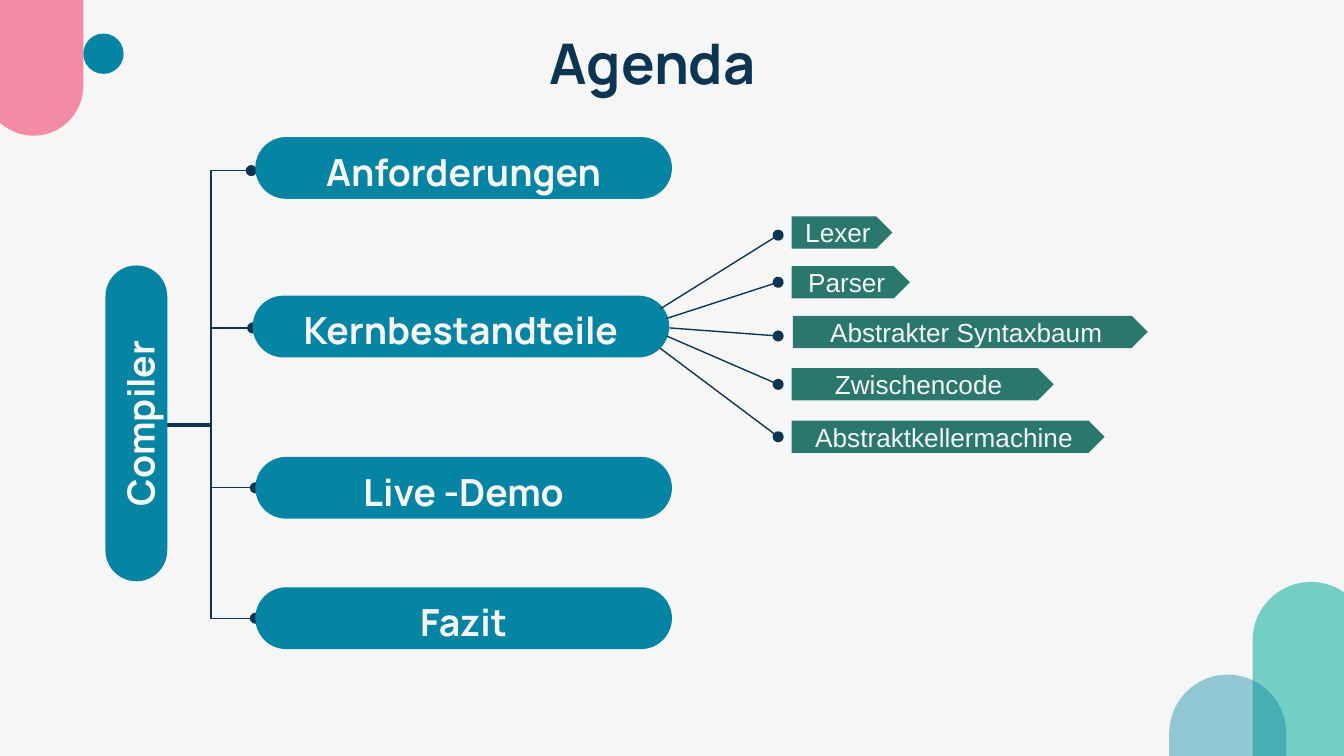
from pptx import Presentation
from pptx.dml.color import RGBColor
from pptx.enum.shapes import MSO_CONNECTOR, MSO_SHAPE
from pptx.enum.text import MSO_ANCHOR, PP_ALIGN
from pptx.oxml.ns import qn
from pptx.util import Inches, Pt
from lxml import etree

PILL, DOT, TAG = MSO_SHAPE.ROUNDED_RECTANGLE, MSO_SHAPE.OVAL, MSO_SHAPE.PENTAGON
LINE, ELBOW = MSO_CONNECTOR.STRAIGHT, MSO_CONNECTOR.ELBOW
MIDDLE, CENTER = MSO_ANCHOR.MIDDLE, PP_ALIGN.CENTER

COLORS = {
    "paper": "F6F6F6",
    "navy": "0B3550",
    "blue": "0584A4",
    "mint": "74CEC4",
    "pink": "F2557A",
    "green": "2A776E",
}
HEAD_FONT, TAG_FONT = "Manrope", "Arial"


def color(name):
    return RGBColor.from_string(COLORS[name])


def add_form(slide, kind, box, fill, alpha=None):
    form = slide.shapes.add_shape(kind, *map(Inches, box))
    form.shadow.inherit = False
    form.fill.solid()
    form.fill.fore_color.rgb = color(fill)
    form.line.fill.background()
    if kind == PILL:
        form.adjustments[0] = 0.5
    if alpha is not None:
        tint = form.fill._xPr.find(qn("a:solidFill"))[0]
        etree.SubElement(tint, qn("a:alpha"), val=str(alpha * 1000))
    return form


def set_text(form, text, font, size, tone="paper", bold=False):
    frame = form.text_frame
    frame.text = text
    para = frame.paragraphs[0]
    para.alignment = CENTER
    style = para.runs[0].font
    style.name, style.size, style.bold = font, Pt(size), bold
    style.color.rgb = color(tone)
    return frame


def add_pill(slide, text, box, turn=0):
    pill = add_form(slide, PILL, box, "blue")
    pill.rotation = turn
    frame = set_text(pill, text, HEAD_FONT, 20, bold=True)
    frame.word_wrap = True
    frame.vertical_anchor = MIDDLE
    frame.margin_top = frame.margin_bottom = Inches(0.1)
    frame.paragraphs[0].line_spacing = 1.15


def add_tag(slide, text, left, top, width):
    tag = add_form(slide, TAG, (left, top, width, 0.24), "green")
    frame = set_text(tag, text, TAG_FONT, 14)
    frame.word_wrap = False
    frame.vertical_anchor = MIDDLE


def add_link(slide, kind, start, end, bend=None):
    link = slide.shapes.add_connector(kind, *map(Inches, start + end))
    link.line.color.rgb = color("navy")
    link.line.width = Pt(0.75)
    etree.SubElement(link.line._get_or_add_ln(), qn("a:tailEnd"), type="oval")
    props = link._element.spPr
    etree.SubElement(props, qn("a:effectLst"))
    if bend is not None:
        # Put the elbow at the given x position
        share = round((bend - start[0]) / (end[0] - start[0]) * 100000)
        guides = props.find(qn("a:prstGeom")).get_or_add_avLst()
        etree.SubElement(guides, qn("a:gd"), name="adj1", fmla=f"val {share}")


def add_decor(slide):
    add_form(slide, PILL, (9.32, 4.33, 0.87, 4.52), "mint")
    add_form(slide, PILL, (8.7, 5.02, 0.87, 3.13), "blue", 41)
    add_form(slide, DOT, (0.62, 0.25, 0.3, 0.3), "blue")
    add_form(slide, PILL, (-0.12, -0.99, 0.74, 2), "pink", 66)


def add_title(slide, text):
    box = slide.shapes.add_textbox(*map(Inches, (0.64, 0.11, 8.43, 0.63)))
    frame = set_text(box, text, HEAD_FONT, 30, "navy", True)
    frame.word_wrap = True
    frame.margin_top = frame.margin_bottom = Inches(0.1)


def add_tree(slide):
    # Topic, left, top, link start, link end
    topics = [
        ("Anforderungen", 1.9, 1.02, (1.21, 3.17), (1.87, 1.27)),
        ("Kernbestandteile", 1.88, 2.2, (1.24, 3.15), (1.88, 2.44)),
        ("Live -Demo", 1.9, 3.4, (1.24, 3.16), (1.9, 3.63)),
        ("Fazit", 1.9, 4.37, (1.24, 3.15), (1.9, 4.6)),
    ]
    for _, _, _, start, end in topics:
        add_link(slide, ELBOW, start, end, bend=1.57)
    add_pill(slide, "Compiler", (-0.16, 2.92, 2.35, 0.46), turn=270)
    for text, left, top, _, _ in topics:
        add_pill(slide, text, (left, top, 3.1, 0.46))


def add_parts(slide):
    # Part, left, top, width, link start, link end height
    parts = [
        ("Lexer", 5.89, 1.61, 0.75, (4.91, 2.3), 1.75),
        ("Parser", 5.89, 1.98, 0.88, (4.96, 2.37), 2.1),
        ("Abstrakter Syntaxbaum", 5.9, 2.35, 2.64, (4.98, 2.44), 2.5),
        ("Zwischencode", 5.89, 2.74, 1.95, (4.96, 2.5), 2.86),
        ("Abstraktkellermachine", 5.89, 3.13, 2.33, (4.91, 2.59), 3.25),
    ]
    for text, left, top, width, start, end in parts:
        add_link(slide, LINE, start, (5.79, end))
        add_tag(slide, text, left, top, width)


def main():
    # Widescreen page, 16 to 9
    deck = Presentation()
    deck.slide_width = Inches(10)
    deck.slide_height = Inches(10 * 9 / 16)
    slide = deck.slides.add_slide(deck.slide_layouts[6])
    slide.background.fill.solid()
    slide.background.fill.fore_color.rgb = color("paper")

    add_decor(slide)
    add_title(slide, "Agenda")
    add_tree(slide)
    add_parts(slide)
    deck.save("out.pptx")


if __name__ == "__main__":
    main()
